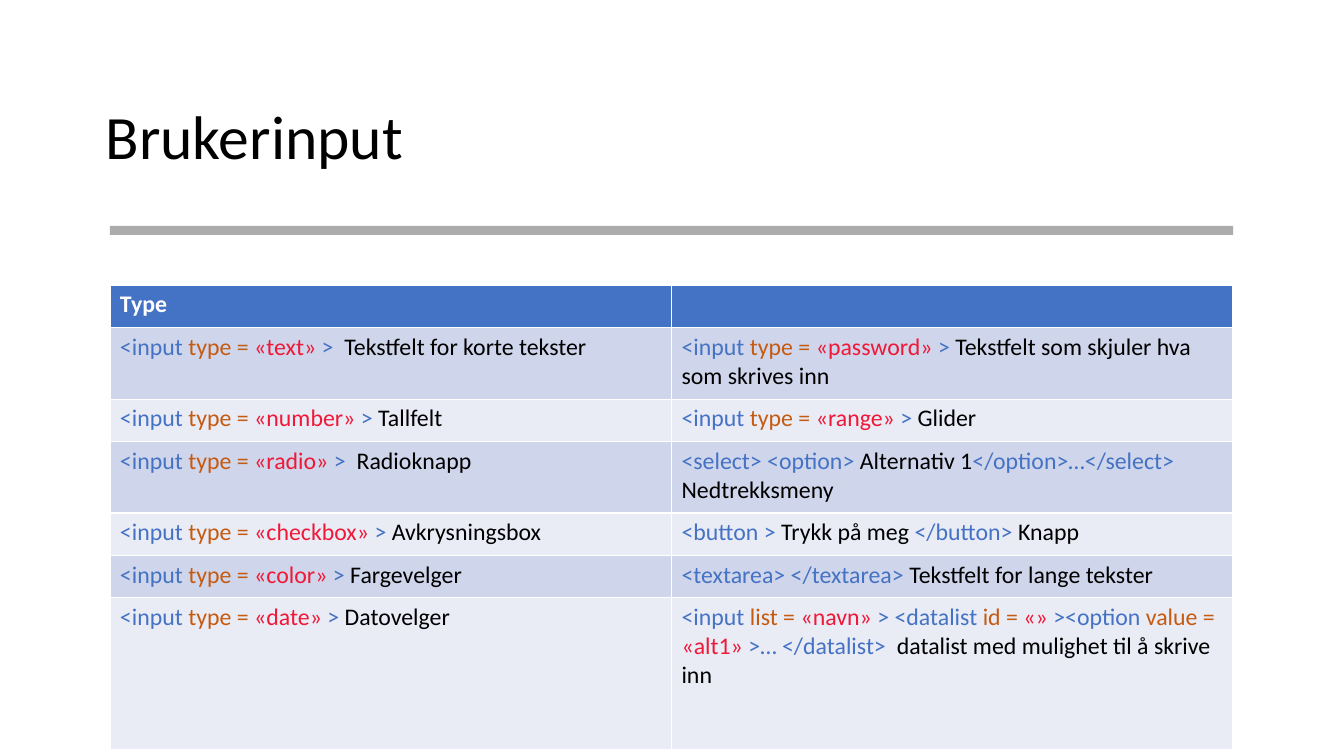
"""Build the slide "Brukerinput": a table of HTML input elements."""
from lxml import etree
from pptx import Presentation
from pptx.dml.color import RGBColor
from pptx.enum.shapes import MSO_SHAPE
from pptx.enum.text import MSO_ANCHOR
from pptx.oxml.ns import qn
from pptx.util import Inches, Pt

RECTANGLE = MSO_SHAPE.RECTANGLE
MIDDLE = MSO_ANCHOR.MIDDLE
FONT = "Calibri"
TAG, ATTRIBUTE, VALUE, PLAIN = "4472C4", "C55A11", "F01837", "000000"
HEADER_FILL, BAND_FILLS = "4472C4", ("CFD5EA", "E9EBF5")


def color(hex_string):
    return RGBColor.from_string(hex_string)


def input_field(kind, description, gap=" "):
    return [("<input ", TAG), ("type = ", ATTRIBUTE), (f"«{kind}» ", VALUE),
            (">" + gap, TAG), (description, PLAIN)]


rows = [
    (0.42, [("Type", "FFFFFF")], []),
    (0.71, input_field("text", "Tekstfelt for korte tekster", "  "),
     input_field("password", "Tekstfelt som skjuler hva som skrives inn")),
    (0.42, input_field("number", "Tallfelt"), input_field("range", "Glider")),
    (0.71, input_field("radio", "Radioknapp", "  "),
     [("<select> <option> ", TAG), ("Alternativ 1", PLAIN),
      ("</option>…</select> ", TAG), ("Nedtrekksmeny", PLAIN)]),
    (0.42, input_field("checkbox", "Avkrysningsbox"),
     [("<button > ", TAG), ("Trykk på meg ", PLAIN),
      ("</button> ", TAG), ("Knapp", PLAIN)]),
    (0.42, input_field("color", "Fargevelger"),
     [("<textarea> </textarea> ", TAG), ("Tekstfelt for lange tekster", PLAIN)]),
    (1.51, input_field("date", "Datovelger"),
     [("<input ", TAG), ("list = ", ATTRIBUTE), ("«navn» ", VALUE),
      ("> <datalist ", TAG), ("id = ", ATTRIBUTE), ("«» ", VALUE),
      ("><option ", TAG), ("value = ", ATTRIBUTE), ("«alt1» ", VALUE),
      (">… </datalist>  ", TAG),
      ("datalist med mulighet til å skrive inn", PLAIN)]),
]

prs = Presentation()
prs.slide_width, prs.slide_height = Inches(13.33), Inches(7.5)
slide = prs.slides.add_slide(prs.slide_layouts[6])

title = slide.shapes.add_textbox(
    Inches(0.95), Inches(0.66), Inches(11.43), Inches(1.45)).text_frame
title.word_wrap = True
title.vertical_anchor = MIDDLE
heading = title.paragraphs[0]
heading.text = "Brukerinput"
heading.line_spacing = 0.9
heading.font.name = FONT
heading.font.size = Pt(44)
heading.font.color.rgb = color(PLAIN)

divider = slide.shapes.add_shape(
    RECTANGLE, Inches(1.09), Inches(2.24), Inches(11.14), Inches(0.09))
divider.shadow.inherit = False
divider.fill.solid()
divider.fill.fore_color.rgb = color("808080")
divider.line.fill.background()
divider_color = divider.fill._xPr.find(".//" + qn("a:srgbClr"))
etree.SubElement(divider_color, qn("a:alpha"), val="65000")

inputs = slide.shapes.add_table(
    len(rows), 2, Inches(1.09), Inches(2.83), Inches(11.14), Inches(4.61)).table
for row_index, (height, *entries) in enumerate(rows):
    inputs.rows[row_index].height = Inches(height)
    is_header = row_index == 0
    for column_index, entry in enumerate(entries):
        cell = inputs.cell(row_index, column_index)
        cell.fill.solid()
        cell.fill.fore_color.rgb = color(
            HEADER_FILL if is_header else BAND_FILLS[(row_index - 1) % 2])
        paragraph = cell.text_frame.paragraphs[0]
        paragraph.font.name = FONT
        paragraph.font.size = Pt(17)
        paragraph.font.bold = is_header
        for text, text_color in entry:
            run = paragraph.add_run()
            run.text = text
            run.font.color.rgb = color(text_color)

prs.save("out.pptx")
